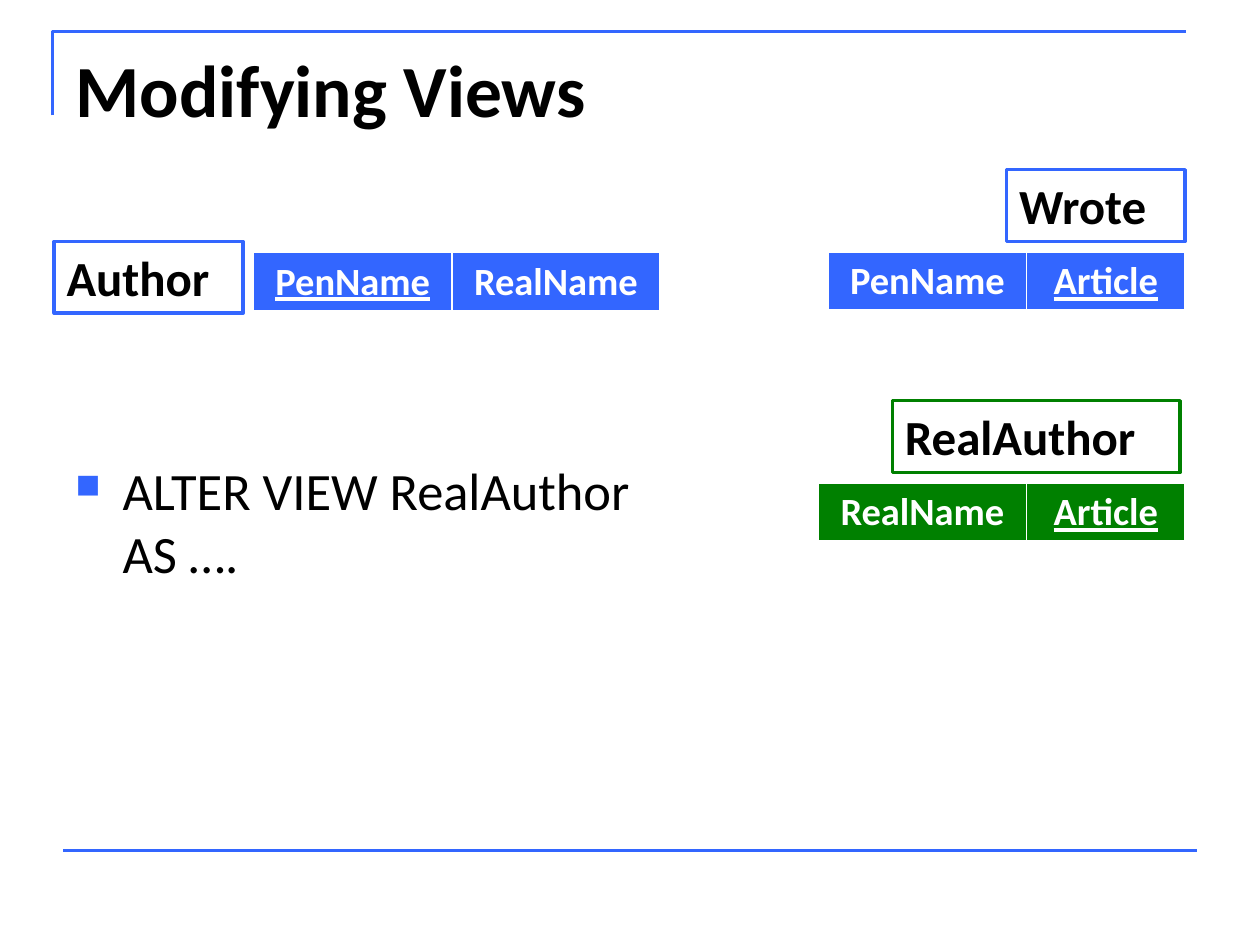
"""Build the "Modifying Views" slide: two base tables and the view over them."""
from dataclasses import dataclass

from lxml import etree
from pptx import Presentation
from pptx import util as u
from pptx.dml.color import RGBColor
from pptx.enum import shapes, text
from pptx.oxml import ns


@dataclass(frozen=True)
class Theme:
    font: str = "Calibri"
    base: RGBColor = RGBColor(0x33, 0x66, 0xFF)
    view: RGBColor = RGBColor(0x00, 0x80, 0x00)
    ink: RGBColor = RGBColor(0x00, 0x00, 0x00)
    paper: RGBColor = RGBColor(0xFF, 0xFF, 0xFF)
    title: int = 42
    body: int = 30
    label: int = 28
    column: int = 22
    rule: float = 1.5
    frame: float = 2


class SlideBuilder:
    def __init__(self, slide, theme):
        self.slide = slide
        self.theme = theme

    def add_element(self, parent, tag, **attributes):
        return etree.SubElement(parent, ns.qn(tag), attributes)

    def style_text(self, paragraph, size, color, bold=False, underline=False):
        font = paragraph.font
        font.name, font.size, font.bold = self.theme.font, u.Pt(size), bold
        font.underline = underline
        font.color.rgb = color

    def style_line(self, shape, color, width):
        shape.line.color.rgb = color
        shape.line.width = u.Pt(width)

    def corner(self, left, top, right, bottom):
        builder = self.slide.shapes.build_freeform(u.Pt(left), u.Pt(bottom))
        builder.add_line_segments(
            [(u.Pt(left), u.Pt(top)), (u.Pt(right), u.Pt(top))], close=False)
        shape = builder.convert_to_shape()
        shape.shadow.inherit = False
        shape.fill.background()
        self.style_line(shape, self.theme.base, self.theme.rule)

    def rule(self, left, right, y):
        line = self.slide.shapes.add_connector(
            shapes.MSO_CONNECTOR.STRAIGHT, u.Pt(left), u.Pt(y), u.Pt(right), u.Pt(y))
        self.style_line(line, self.theme.base, self.theme.rule)
        self.add_element(line._element.spPr, "a:effectLst")

    def text_box(self, content, left, top, width, height, size, bold=False, bullet=False):
        box = self.slide.shapes.add_textbox(*map(u.Pt, (left, top, width, height)))
        box.text_frame.word_wrap = True
        paragraph = box.text_frame.paragraphs[0]
        paragraph.text = content
        if bullet:
            self.bullet(paragraph)
        self.style_text(paragraph, size, self.theme.ink, bold)

    def bullet(self, paragraph):
        properties = paragraph._p.get_or_add_pPr()
        indent = u.Pt(27)
        properties.set("marL", str(indent))
        properties.set("indent", str(-indent))
        color = self.add_element(properties, "a:buClr")
        self.add_element(color, "a:srgbClr", val=str(self.theme.base))
        self.add_element(properties, "a:buSzPct", val="65000")
        self.add_element(properties, "a:buChar", char="■")

    def label(self, name, left, top, width, color):
        shape = self.slide.shapes.add_shape(
            shapes.MSO_SHAPE.RECTANGLE, *map(u.Pt, (left, top, width, 41)))
        shape.shadow.inherit = False
        shape.fill.background()
        self.style_line(shape, color, self.theme.frame)
        frame = shape.text_frame
        frame.word_wrap = True
        frame.auto_size = text.MSO_AUTO_SIZE.SHAPE_TO_FIT_TEXT
        frame.vertical_anchor = text.MSO_ANCHOR.TOP
        paragraph = frame.paragraphs[0]
        paragraph.text = name
        paragraph.alignment = text.PP_ALIGN.LEFT
        self.style_text(paragraph, self.theme.label, self.theme.ink, bold=True)

    def borders(self, cell):
        properties = cell._tc.get_or_add_tcPr()
        for side, width in (("L", 1), ("R", 1), ("T", 1), ("B", 3)):
            line = self.add_element(properties, f"a:ln{side}", w=str(u.Pt(width)))
            fill = self.add_element(line, "a:solidFill")
            self.add_element(fill, "a:srgbClr", val=str(self.theme.paper))

    def columns(self, names, key, left, top, widths, color):
        frame = self.slide.shapes.add_table(
            1, len(names), *map(u.Pt, (left, top, sum(widths), 34)))
        table = frame.table
        for index, (name, width) in enumerate(zip(names, widths)):
            table.columns[index].width = u.Pt(width)
            cell = table.cell(0, index)
            self.borders(cell)
            cell.fill.solid()
            cell.fill.fore_color.rgb = color
            paragraph = cell.text_frame.paragraphs[0]
            paragraph.text = name
            paragraph.alignment = text.PP_ALIGN.CENTER
            self.style_text(paragraph, self.theme.column, self.theme.paper,
                            bold=True, underline=name == key)


def main():
    presentation = Presentation()
    presentation.slide_width, presentation.slide_height = u.Pt(720), u.Pt(540)
    theme = Theme()
    slide = presentation.slides.add_slide(presentation.slide_layouts[6])
    builder = SlideBuilder(slide, theme)

    builder.corner(30, 18, 678, 66)
    builder.rule(36, 684, 486)
    builder.text_box("Modifying Views", 36, 21.6, 648, 90, theme.title, bold=True)
    builder.text_box("ALTER VIEW RealAuthor\vAS ….", 36, 258.5, 648, 224,
                     theme.body, bullet=True)

    pen, real, article = 113.3, 119, 90.7
    right = 677.3
    builder.columns(("PenName", "RealName"), "PenName", 144.9, 144.3, (pen, real), theme.base)
    builder.label("Author", 31, 138, 108, theme.base)
    builder.columns(("PenName", "Article"), "Article",
                    right - pen - article, 144, (pen, article), theme.base)
    builder.label("Wrote", 575.3, 97, 102, theme.base)
    builder.columns(("RealName", "Article"), "Article",
                    right - real - article, 276, (real, article), theme.view)
    builder.label("RealAuthor", 510, 229, 164.3, theme.view)

    presentation.save("out.pptx")


if __name__ == "__main__":
    main()
